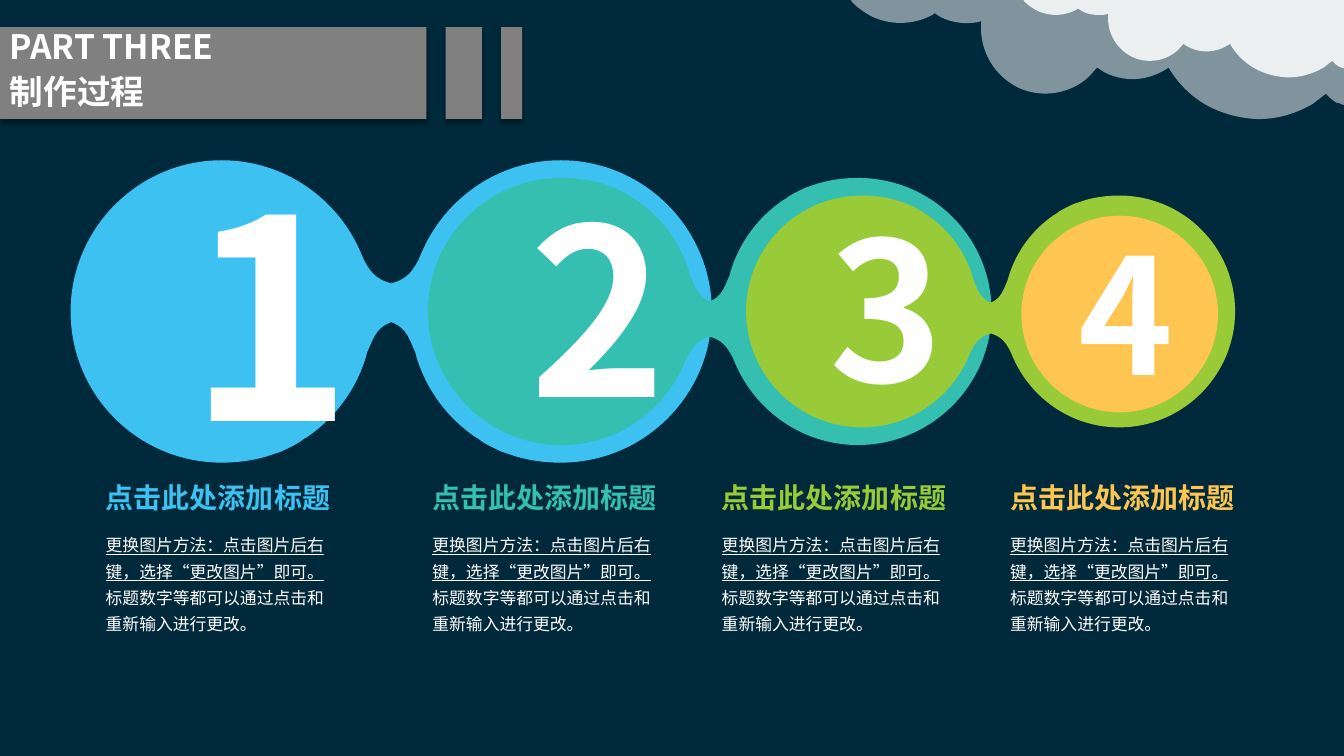
from collections import namedtuple

from lxml import etree
from pptx import Presentation
from pptx.dml.color import RGBColor
from pptx.enum.shapes import MSO_SHAPE
from pptx.enum.text import MSO_ANCHOR, MSO_AUTO_SIZE, PP_ALIGN
from pptx.oxml.ns import qn
from pptx.util import Inches, Pt

RECT, OVAL = MSO_SHAPE.RECTANGLE, MSO_SHAPE.OVAL
LEFT, CENTER = PP_ALIGN.LEFT, PP_ALIGN.CENTER
TOP, MIDDLE = MSO_ANCHOR.TOP, MSO_ANCHOR.MIDDLE
GROW, FIXED = MSO_AUTO_SIZE.SHAPE_TO_FIT_TEXT, MSO_AUTO_SIZE.NONE

# The slide is a grid of square cells; every length below counts cells.
COLS, ROWS = 1333, 750
CELL = Inches(0.01)
FONT = "Noto Sans CJK SC"
COLORS = {
    "night": "002A3B", "gray": "808080", "white": "FFFFFF", "black": "000000",
    "blue": "3CC1F0", "teal": "34BFB1", "green": "98CB37", "amber": "FEC650",
}

# Outlines: a pair is a line to a point, six numbers are a Bezier curve.
# Cloud points are measured from the top right corner of the slide.
CLOUD = [
    (-89, 118), (-102, 117, -116, 114, -129, 108), (-149, 99, -164, 84, -174, 67),
    (-177, 69), (-195, 80, -217, 82, -237, 72), (-245, 67), (-253, 76),
    (-271, 93, -299, 98, -323, 87), (-347, 75, -361, 51, -360, 25), (-360, 21),
    (-363, 22), (-375, 24, -388, 23, -400, 17), (-406, 13), (-407, 14),
    (-424, 24, -447, 26, -467, 17), (-475, 13, -482, 8, -488, 2), (-489, 0),
    (0, 0), (0, 104), (-1, 104), (-3, 103, -5, 102, -7, 102),
    (-11, 100, -14, 97, -16, 95), (-18, 93), (-31, 103),
    (-48, 113, -68, 119, -89, 118),
]
# Drop points are measured from the centre of its round part.
DROP_RADIUS = 150
DROP = [
    (0, -150), (62, -150, 115, -112, 138, -58), (141, -51),
    (149, -36, 155, -30, 176, -26), (179, 8), (159, 11, 153, 19, 147, 34),
    (144, 41), (143, 45), (133, 78, 112, 106, 84, 125), (82, 126), (78, 129),
    (72, 133, 65, 136, 59, 139), (50, 142), (44, 144), (30, 148, 15, 150, 0, 150),
    (-83, 150, -150, 83, -150, 0), (-150, -82, -83, -150, 0, -150),
]
AXIS_ROW = 309

Link = namedtuple("Link", "color radius left_center right_center flip")
LINKS = [
    Link("blue", 150, 220, 556, 1),
    Link("teal", 132.5, 557, 851, -1),
    Link("green", 115, 855, 1110, -1),
]

Step = namedtuple("Step", "color text_col digit_col digit_row digit_rows digit_size")
STEPS = [
    Step("blue", 95, 177, 137, 345, 199),
    Step("teal", 419, 515, 159, 289, 166),
    Step("green", 706, 813, 183, 242, 138),
    Step("amber", 992, 1060, 208, 204, 115),
]
HEADING = "点击此处添加标题"
BODY_UNDERLINED = "更换图片方法：点击图片后右键，选择“更改图片”即可。"
BODY_PLAIN = "标题数字等都可以通过点击和重新输入进行更改。"


def cells(*counts):
    return [round(n * CELL) for n in counts]


def rgb(name):
    return RGBColor.from_string(COLORS[name])


def paint(sp, color, opacity=100):
    sp.shadow.inherit = False
    sp.fill.solid()
    sp.fill.fore_color.rgb = rgb(color)
    sp.line.fill.background()
    if opacity < 100:
        clr = sp._element.spPr.find(".//" + qn("a:srgbClr"))
        etree.SubElement(clr, qn("a:alpha"), val=str(opacity * 1000))


def add_preset(s, kind, box, color):
    sp = s.shapes.add_shape(kind, *cells(*box))
    paint(sp, color)
    return sp


def add_bar(s, col, width):
    """Title bar with a soft shadow below it."""
    sp = add_preset(s, RECT, (col, 27, width, 91), "gray")
    effects = sp._element.spPr.find(qn("a:effectLst"))
    shadow = etree.SubElement(effects, qn("a:outerShdw"), blurRad=str(Pt(4)),
                              dist=str(Pt(3)), dir="5400000", rotWithShape="0")
    clr = etree.SubElement(shadow, qn("a:srgbClr"), val=COLORS["black"])
    etree.SubElement(clr, qn("a:alpha"), val="40000")


def bend_curves(sp, outline):
    """Join each three lines that stand for a Bezier curve into that curve."""
    lines = iter(sp._element.spPr.findall(".//" + qn("a:lnTo")))
    for part in outline[1:]:
        first = next(lines)
        if len(part) == 6:
            first.tag = qn("a:cubicBezTo")
            for _ in range(2):
                line = next(lines)
                first.append(line[0])
                line.getparent().remove(line)


def add_outline(s, outline, origin, scale, color, opacity=100):
    """Draw an outline around origin; a negative scale mirrors that axis."""
    points = [cells(origin[0] + part[i] * scale[0], origin[1] + part[i + 1] * scale[1])
              for part in outline for i in range(0, len(part), 2)]
    builder = s.shapes.build_freeform(*points[0])
    builder.add_line_segments(points[1:], close=True)
    sp = builder.convert_to_shape()
    # The tag of an element picks its class, so curves are made before painting.
    bend_curves(sp, outline)
    paint(sp, color, opacity)


def add_link(s, link):
    """Two facing drops that join into one dumbbell."""
    k = link.radius / DROP_RADIUS
    for center, side in ((link.left_center, 1), (link.right_center, -1)):
        add_outline(s, DROP, (center, AXIS_ROW), (side * k, link.flip * k), link.color)


def add_text(s, box, runs, size, color="white", bold=False, align=LEFT,
             anchor=TOP, wrap=True, fit=GROW, spacing=None, before=None):
    tf = s.shapes.add_textbox(*cells(*box)).text_frame
    tf.word_wrap, tf.auto_size, tf.vertical_anchor = wrap, fit, anchor
    p = tf.paragraphs[0]
    p.alignment, p.line_spacing, p.space_before = align, spacing, before
    p.font.name, p.font.size, p.font.bold = FONT, Pt(size), bold
    p.font.color.rgb = rgb(color)
    latin = p._p.pPr.find(".//" + qn("a:latin"))
    latin.addnext(latin.makeelement(qn("a:ea"), typeface=FONT))
    for text in runs:
        p.add_run().text = text
    return p


def add_title(s):
    for row, text in ((27, "PART THREE"), (72, "制作过程")):
        add_text(s, (0, row, 423, 45), [text], 24, bold=True, anchor=MIDDLE,
                 fit=FIXED, spacing=0.8, before=Pt(10))


def add_step(s, number, step):
    add_text(s, (step.digit_col, step.digit_row, 88, step.digit_rows),
             [str(number)], step.digit_size, bold=True, align=CENTER)
    p = add_text(s, (step.text_col, 520, 245, 115),
                 [BODY_UNDERLINED, BODY_PLAIN], 12, spacing=1.3)
    p.runs[0].font.underline = True
    add_text(s, (step.text_col, 472, 245, 44), [HEADING], 20, step.color,
             bold=True, wrap=False)


def main():
    prs = Presentation()
    prs.slide_width, prs.slide_height = cells(COLS, ROWS)
    s = prs.slides.add_slide(prs.slide_layouts[6])
    s.background.fill.solid()
    s.background.fill.fore_color.rgb = rgb("night")

    for col, width in ((0, 423), (442, 36), (497, 21)):
        add_bar(s, col, width)
    for scale, opacity in ((1, 50), (0.65, 85)):
        add_outline(s, CLOUD, (COLS, 0), (scale, scale), "white", opacity)
    add_title(s)
    for link in LINKS:
        add_link(s, link)
    add_preset(s, OVAL, (1013, 214, 195, 195), "amber")
    for number, step in enumerate(STEPS, 1):
        add_step(s, number, step)
    prs.save("out.pptx")


if __name__ == "__main__":
    main()
